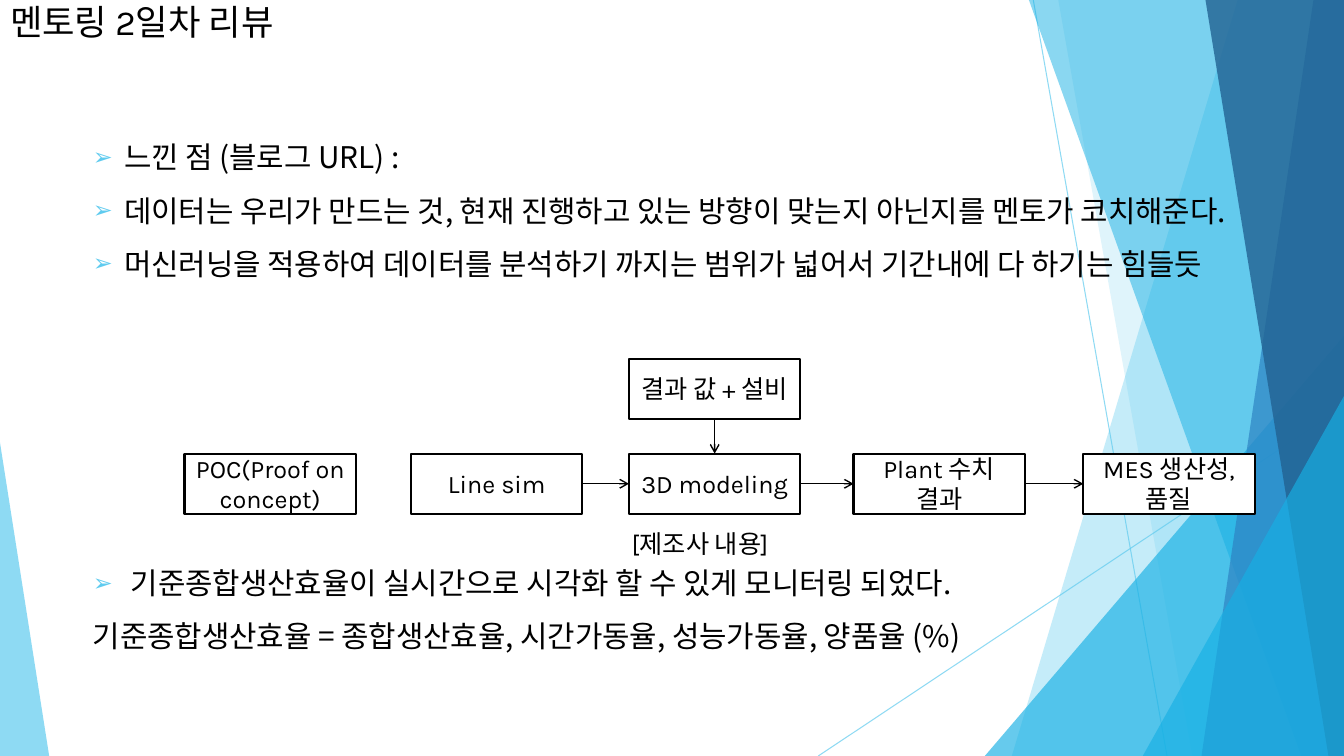
from dataclasses import dataclass

from lxml import etree
from pptx import Presentation
from pptx import util as u
from pptx.dml.color import RGBColor
from pptx.enum import shapes, text
from pptx.oxml import ns

WIDTH, HEIGHT = 33.87, 19.05
BOX_WIDTH, BOX_HEIGHT = 4.32, 1.52
FLOW_TOP, RESULT_TOP = 11.43, 9.04
HANGUL, LATIN = "Noto Sans CJK KR", "Karla"
BLACK, WHITE, SKY, BLUE = "000000", "FFFFFF", "5FCBEF", "17B0E4"


@dataclass
class Band:
    top_x: float
    bottom_x: float
    color: str
    opacity: int


@dataclass
class Wedge:
    left: float
    top: float
    width: float
    apex: float
    color: str
    opacity: int


@dataclass
class Ray:
    x1: float
    y1: float
    x2: float
    y2: float


@dataclass
class Step:
    label: str
    left: float
    top: float = FLOW_TOP


@dataclass
class Remark:
    words: str
    bulleted: bool = True


RAYS = [Ray(26.04, 0, 29.41, HEIGHT), Ray(WIDTH, 10.24, 20.62, HEIGHT)]
FACETS = [
    Band(31.19, 25.5, SKY, 36),
    Band(26.67, 30.05, SKY, 20),
    Wedge(24.82, 8.46, 9.05, 1, BLUE, 66),
    Band(25.93, 32.79, BLUE, 50),
    Band(33.1, 30.28, "2E83C3", 70),
    Band(30.38, 33.48, "226292", 80),
    Wedge(28.8, 9.98, 5.07, 1, BLUE, 66),
    Wedge(0, 11.15, 1.24, 0, SKY, 70),
]
STEPS = {
    "poc": Step("POC(Proof on concept)", 4.65),
    "simulation": Step("Line sim", 10.36),
    "modeling": Step("3D modeling", 15.85),
    "plant": Step("Plant 수치 결과", 21.51),
    "mes": Step("MES 생산성, 품질", 27.3),
    "result": Step("결과 값 + 설비", 15.85, RESULT_TOP),
}
FLOWS = [
    ("result", 2, "modeling", 0),
    ("simulation", 3, "modeling", 1),
    ("modeling", 3, "plant", 1),
    ("plant", 3, "mes", 1),
]
IMPRESSIONS = [
    Remark("느낀 점 (블로그 URL) :"),
    Remark("데이터는 우리가 만드는 것, 현재 진행하고 있는 방향이 맞는지 아닌지를 멘토가 코치해준다."),
    Remark("머신러닝을 적용하여 데이터를 분석하기 까지는 범위가 넓어서 기간내에 다 하기는 힘들듯"),
]
OUTCOMES = [
    Remark(" 기준종합생산효율이 실시간으로 시각화 할 수 있게 모니터링 되었다."),
    Remark("기준종합생산효율 = 종합생산효율, 시간가동율, 성능가동율, 양품율 (%)", False),
]


def rgb(color: str) -> RGBColor:
    return RGBColor.from_string(color)


def add_xml(parent, tag: str, **attributes: str):
    return etree.SubElement(parent, ns.qn(tag), attributes)


def set_opacity(fill_parent, percent: int) -> None:
    tint = next(fill_parent.iter(ns.qn("a:srgbClr")))
    add_xml(tint, "a:alpha", val=str(percent * 1000))


def format_text(paragraph, size: float, font: str) -> None:
    for run in paragraph.runs:
        run.font.size = u.Pt(size)
        run.font.name = font
        run.font.color.rgb = rgb(BLACK)
        add_xml(run.font._element, "a:ea", typeface=HANGUL)


def draw_line(slide, ray: Ray, color: str, width: float):
    line = slide.shapes.add_connector(
        shapes.MSO_CONNECTOR.STRAIGHT,
        u.Cm(ray.x1), u.Cm(ray.y1), u.Cm(ray.x2), u.Cm(ray.y2))
    line.line.color.rgb = rgb(color)
    line.line.width = u.Pt(width)
    add_xml(line._element.spPr, "a:effectLst")
    return line


def draw_facet(slide, facet: Band | Wedge) -> None:
    if isinstance(facet, Band):
        outline = slide.shapes.build_freeform(u.Cm(facet.top_x), 0)
        outline.add_line_segments([
            (u.Cm(WIDTH), 0), (u.Cm(WIDTH), u.Cm(HEIGHT)),
            (u.Cm(facet.bottom_x), u.Cm(HEIGHT))])
        shape = outline.convert_to_shape()
    else:
        shape = slide.shapes.add_shape(
            shapes.MSO_SHAPE.ISOSCELES_TRIANGLE, u.Cm(facet.left), u.Cm(facet.top),
            u.Cm(facet.width), u.Cm(HEIGHT - facet.top))
        shape.adjustments[0] = facet.apex
    shape.shadow.inherit = False
    shape.fill.solid()
    shape.fill.fore_color.rgb = rgb(facet.color)
    shape.line.fill.background()
    set_opacity(shape._element.spPr, facet.opacity)


def draw_step(slide, step: Step):
    box = slide.shapes.add_shape(
        shapes.MSO_SHAPE.RECTANGLE, u.Cm(step.left), u.Cm(step.top),
        u.Cm(BOX_WIDTH), u.Cm(BOX_HEIGHT))
    box.shadow.inherit = False
    box.fill.solid()
    box.fill.fore_color.rgb = rgb(WHITE)
    box.line.color.rgb = rgb(BLACK)
    box.line.width = u.Pt(1.5)
    frame = box.text_frame
    frame.text = step.label
    frame.vertical_anchor = text.MSO_ANCHOR.MIDDLE
    frame.paragraphs[0].alignment = text.PP_ALIGN.CENTER
    format_text(frame.paragraphs[0], 18, LATIN)
    return box


def draw_flow(slide, source, source_side: int, target, target_side: int) -> None:
    arrow = draw_line(slide, Ray(0, 0, 1, 1), BLACK, 1)
    arrow.begin_connect(source, source_side)
    arrow.end_connect(target, target_side)
    add_xml(arrow.line._get_or_add_ln(), "a:tailEnd", type="arrow")


def write_remarks(slide, top: float, remarks: list[Remark]) -> None:
    frame = slide.shapes.add_textbox(
        u.Cm(2.34), u.Cm(top), u.Cm(30.6), u.Cm(1.35 * len(remarks))).text_frame
    frame.word_wrap = True
    frame.margin_left = frame.margin_right = frame.margin_top = frame.margin_bottom = 0
    frame.text = "\n".join(remark.words for remark in remarks)
    for index, (paragraph, remark) in enumerate(zip(frame.paragraphs, remarks)):
        paragraph.line_spacing = u.Pt(28)
        paragraph.space_before = u.Pt(10 if index else 0)
        format_text(paragraph, 21.3, HANGUL)
        if remark.bulleted:
            properties = paragraph._p.get_or_add_pPr()
            properties.set("marL", str(u.Cm(0.79)))
            properties.set("indent", str(u.Cm(-0.79)))
            add_xml(add_xml(properties, "a:buClr"), "a:srgbClr", val=SKY)
            add_xml(properties, "a:buSzPct", val="80000")
            add_xml(properties, "a:buFont", typeface="Arial")
            add_xml(properties, "a:buChar", char="➢")


def write_title(slide) -> None:
    title = slide.shapes.title
    title.left, title.top, title.width, title.height = 0, 0, u.Cm(7.82), u.Cm(2.44)
    frame = title.text_frame
    frame.text = "멘토링 2일차 리뷰"
    frame.vertical_anchor = text.MSO_ANCHOR.TOP
    frame.auto_size = text.MSO_AUTO_SIZE.NONE
    frame.paragraphs[0].alignment = text.PP_ALIGN.LEFT
    frame.paragraphs[0].line_spacing = 0.9
    format_text(frame.paragraphs[0], 25.2, LATIN)


def write_caption(slide) -> None:
    frame = slide.shapes.add_textbox(
        u.Cm(15.67), u.Cm(13.18), u.Cm(4.5), u.Cm(1.02)).text_frame
    frame.word_wrap = True
    frame.text = "[제조사 내용]"
    format_text(frame.paragraphs[0], 18, LATIN)


def main() -> None:
    deck = Presentation()
    deck.slide_width, deck.slide_height = u.Cm(WIDTH), u.Cm(HEIGHT)
    slide = deck.slides.add_slide(deck.slide_layouts[5])
    for ray in RAYS:
        set_opacity(draw_line(slide, ray, SKY, 0.75)._element.spPr, 70)
    for facet in FACETS:
        draw_facet(slide, facet)
    write_title(slide)
    write_remarks(slide, 3.42, IMPRESSIONS)
    write_remarks(slide, 14.15, OUTCOMES)
    boxes = {key: draw_step(slide, step) for key, step in STEPS.items()}
    for source, source_side, target, target_side in FLOWS:
        draw_flow(slide, boxes[source], source_side, boxes[target], target_side)
    write_caption(slide)
    deck.save("out.pptx")


if __name__ == "__main__":
    main()
